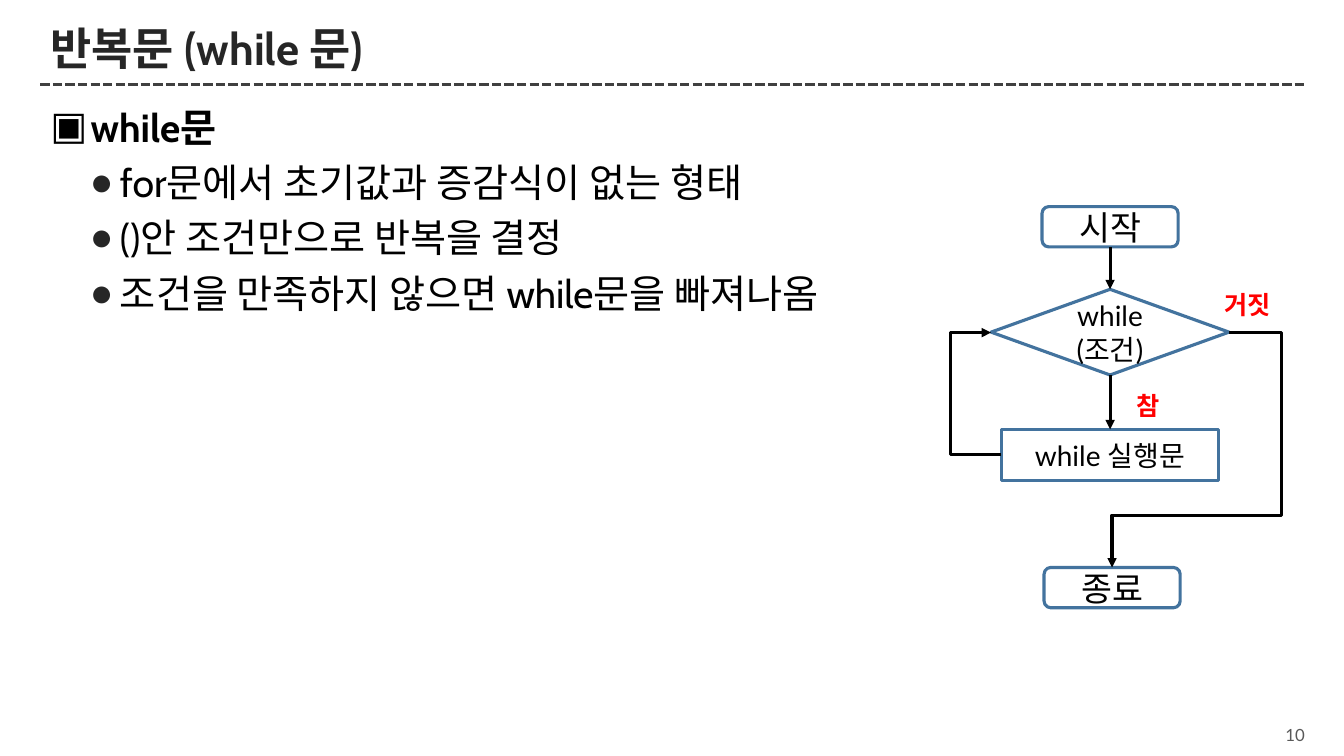
from lxml.etree import SubElement
from pptx import Presentation
from pptx.dml.color import RGBColor
from pptx.enum.dml import MSO_LINE
from pptx.enum.shapes import MSO_CONNECTOR, MSO_SHAPE
from pptx.enum.text import MSO_ANCHOR, MSO_AUTO_SIZE, PP_ALIGN
from pptx.oxml.ns import qn
from pptx.util import Inches, Pt

BLACK = RGBColor(0x00, 0x00, 0x00)
DARK = RGBColor(0x26, 0x26, 0x26)
RULE_GRAY = RGBColor(0x40, 0x40, 0x40)
NUMBER_GRAY = RGBColor(0x59, 0x59, 0x59)
BLUE = RGBColor(0x43, 0x73, 0x9E)
RED = RGBColor(0xFF, 0x00, 0x00)
LINE_WIDTH = Pt(2.25)

presentation = Presentation()
presentation.slide_width = Inches(13.33)
presentation.slide_height = Inches(7.5)
slide = presentation.slides.add_slide(presentation.slide_layouts[1])


def write_text(shape, text, size, color, font="Lato", bold=False,
               alignment=PP_ALIGN.CENTER):
    """Put one formatted paragraph, centred vertically, in a shape."""
    frame = shape.text_frame
    frame.word_wrap = True
    frame.auto_size = MSO_AUTO_SIZE.NONE
    frame.vertical_anchor = MSO_ANCHOR.MIDDLE
    frame.text = text
    paragraph = frame.paragraphs[0]
    paragraph.alignment = alignment
    paragraph.font.name = font
    paragraph.font.size = Pt(size)
    paragraph.font.bold = bold
    paragraph.font.color.rgb = color
    return paragraph


def add_line(kind, points, color, arrow=False):
    """Add a connector without shadow, with an optional arrowhead."""
    connector = slide.shapes.add_connector(kind, *map(Inches, points))
    connector.line.color.rgb = color
    connector.line.width = LINE_WIDTH
    properties = connector._element.spPr
    if arrow:
        SubElement(properties.find(qn("a:ln")), qn("a:tailEnd"), type="triangle")
    SubElement(properties, qn("a:effectLst"))
    return connector


# Title and rule
title = slide.shapes.title
title.left, title.top = Inches(0.4), Inches(0.21)
title.width, title.height = Inches(12.56), Inches(0.59)
heading = write_text(title, "반복문 (while 문)", 32, DARK, "Cabin", True, PP_ALIGN.LEFT)
heading.line_spacing = 0.9
rule = add_line(MSO_CONNECTOR.STRAIGHT, (0.4, 0.84, 12.96, 0.84), RULE_GRAY)
rule.line.dash_style = MSO_LINE.SQUARE_DOT

# Bullet list
body = slide.placeholders[1]
body.left, body.top = Inches(0.4), Inches(0.97)
body.width, body.height = Inches(8.23), Inches(6.14)
body.text_frame.auto_size = MSO_AUTO_SIZE.NONE
bullet_lines = [
    "while문",
    "for문에서 초기값과 증감식이 없는 형태",
    "()안 조건만으로 반복을 결정",
    "조건을 만족하지 않으면 while문을 빠져나옴",
]
body.text_frame.text = "\n".join(bullet_lines)
bullet_styles = [("▣", BLACK, 0.4, -0.4), ("●", DARK, 0.69, -0.3)]
for index, paragraph in enumerate(body.text_frame.paragraphs):
    paragraph.level = min(index, 1)
    paragraph.space_before = Pt(6)
    paragraph.font.name = "Cabin"
    paragraph.font.size = Pt(28)
    paragraph.font.bold = paragraph.level == 0
    paragraph.font.color.rgb = BLACK
    character, color, margin, indent = bullet_styles[paragraph.level]
    properties = paragraph._p.get_or_add_pPr()
    properties.set("marL", str(Inches(margin)))
    properties.set("indent", str(Inches(indent)))
    bullet_color = SubElement(properties, qn("a:buClr"))
    SubElement(bullet_color, qn("a:srgbClr"), val=str(color))
    SubElement(properties, qn("a:buChar"), char=character)

# Flowchart boxes: kind, text, size, centre x, top, width, height
boxes = [
    (MSO_SHAPE.ROUNDED_RECTANGLE, "시작", 24, 11.01, 2.05, 1.35, 0.4),
    (MSO_SHAPE.DIAMOND, "while\v(조건)", 20, 11.01, 2.87, 2.36, 0.85),
    (MSO_SHAPE.RECTANGLE, "while 실행문", 20, 11.01, 4.26, 2.16, 0.51),
    (MSO_SHAPE.ROUNDED_RECTANGLE, "종료", 24, 11.03, 5.63, 1.35, 0.4),
]
for kind, text, size, center, top, width, height in boxes:
    shape = slide.shapes.add_shape(kind, Inches(center - width / 2), Inches(top),
                                   Inches(width), Inches(height))
    shape.shadow.inherit = False
    shape.fill.background()
    shape.line.color.rgb = BLUE
    shape.line.width = LINE_WIDTH
    write_text(shape, text, size, BLACK)

# Flowchart arrows: points, preset geometry, adjustments
arrows = [
    ((11.01, 2.45, 11.01, 2.87), "line", []),
    ((11.01, 3.72, 11.01, 4.26), "line", []),
    ((9.93, 4.51, 9.83, 3.3), "bentConnector3", [503200]),
    ((12.19, 3.3, 11.03, 5.63), "bentConnector4", [-45300, 77700]),
]
for points, preset, adjustments in arrows:
    kind = MSO_CONNECTOR.ELBOW if adjustments else MSO_CONNECTOR.STRAIGHT
    arrow = add_line(kind, points, BLACK, arrow=True)
    geometry = arrow._element.spPr.find(qn("a:prstGeom"))
    geometry.set("prst", preset)
    guides = geometry.find(qn("a:avLst"))
    for number, value in enumerate(adjustments, start=1):
        SubElement(guides, qn("a:gd"), name=f"adj{number}", fmla=f"val {value}")

# Branch labels and slide number
labels = [
    ("참", 18, RED, True, PP_ALIGN.CENTER, (11.09, 3.82, 0.6, 0.4)),
    ("거짓", 18, RED, True, PP_ALIGN.CENTER, (11.96, 2.82, 0.82, 0.4)),
    ("10", 12, NUMBER_GRAY, False, PP_ALIGN.RIGHT, (12.54, 7.13, 0.5, 0.32)),
]
for text, size, color, bold, alignment, place in labels:
    label = slide.shapes.add_textbox(*map(Inches, place))
    write_text(label, text, size, color, bold=bold, alignment=alignment)

presentation.save("out.pptx")
